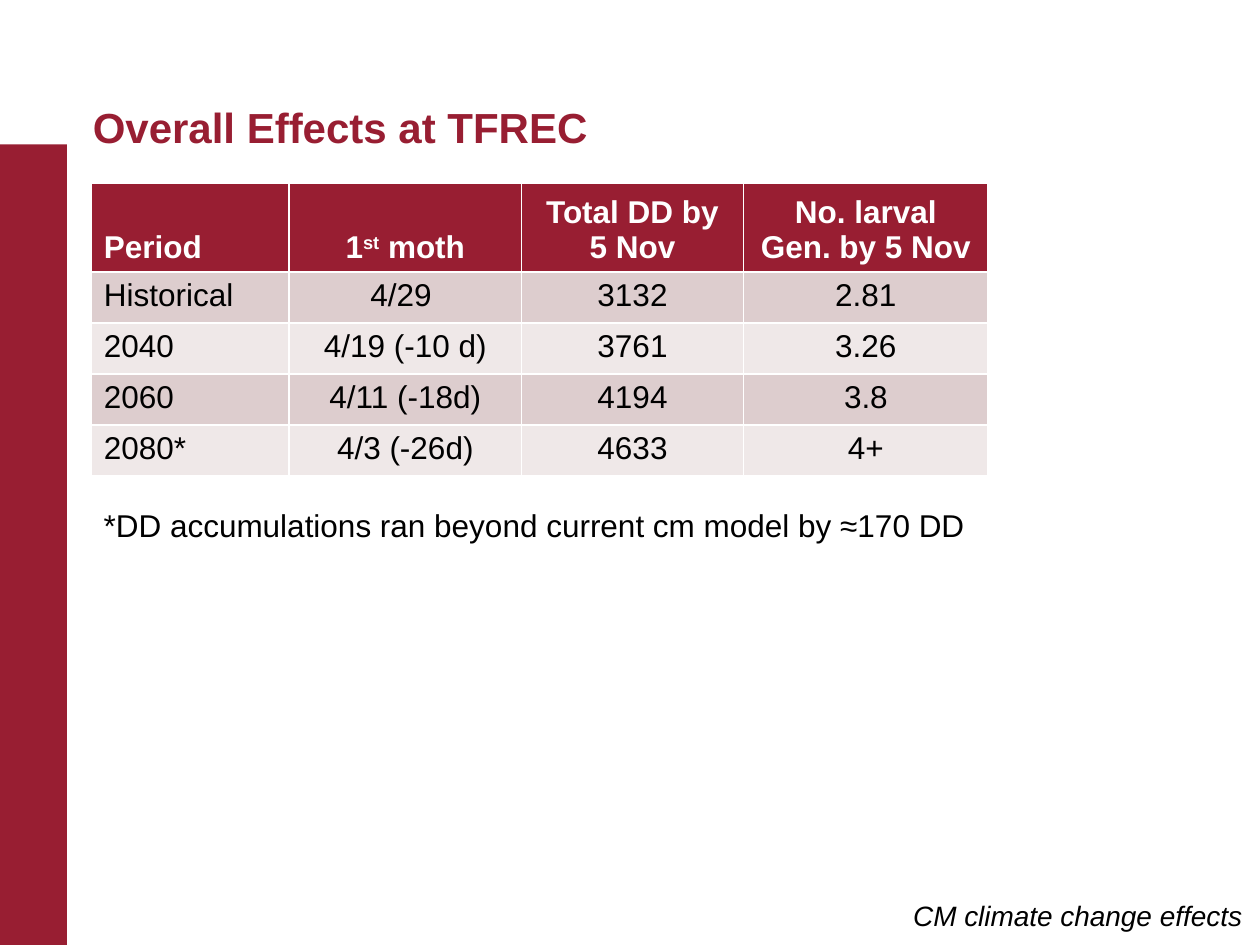
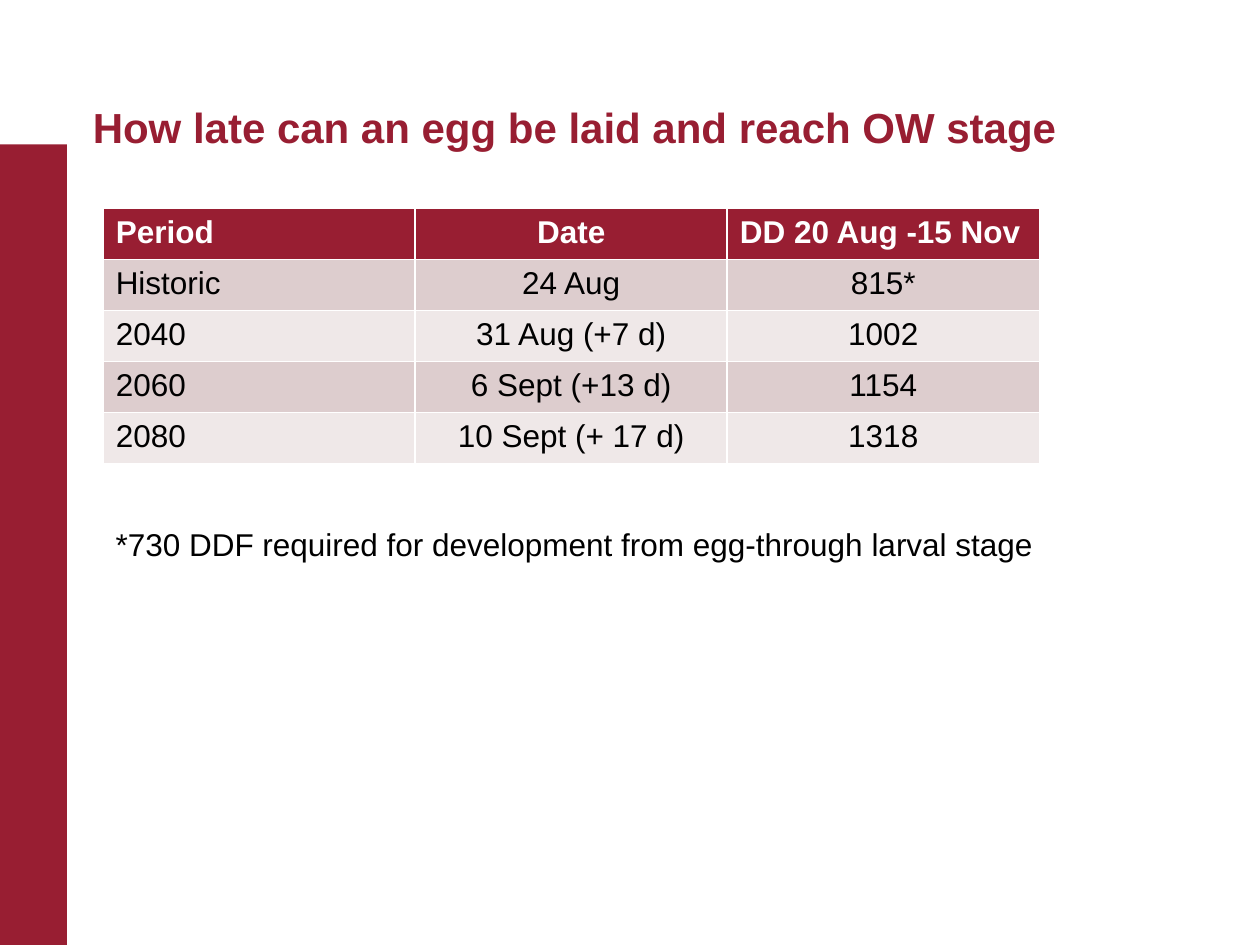
from pptx import Presentation
from pptx.dml.color import RGBColor
from pptx.enum import shapes, text
from pptx.util import Cm, Pt

COLORS = {
    "crimson": "981E32",
    "band_dark": "DDCDCE",
    "band_light": "EFE8E8",
    "white": "FFFFFF",
    "black": "000000",
}
FONT = "Arial"
TITLE_FORMAT = {"size": Pt(24), "bold": True}
HEADER_FORMAT = {"size": Pt(18), "bold": True}
BODY_FORMAT = {"size": Pt(18), "bold": False}
FOOTER_FORMAT = {"size": Pt(16), "italic": True}
ROW_HEIGHT = 1.03
LEFT, CENTER = text.PP_ALIGN.LEFT, text.PP_ALIGN.CENTER
TOP, BOTTOM = text.MSO_ANCHOR.TOP, text.MSO_ANCHOR.BOTTOM


def rgb(color):
    return RGBColor.from_string(COLORS[color])


def write(paragraph, content, color, font_format, align=LEFT):
    """Fill a paragraph; text between ^ marks becomes superscript."""
    paragraph.alignment = align
    for index, part in enumerate(content.split("^")):
        run = paragraph.add_run()
        run.text = part
        run.font.name = FONT
        run.font.color.rgb = rgb(color)
        for name, value in font_format.items():
            setattr(run.font, name, value)
        if index % 2:
            run._r.get_or_add_rPr().set("baseline", "30000")


def add_side_band(slide):
    band = slide.shapes.add_shape(
        shapes.MSO_SHAPE.RECTANGLE, 0, Cm(2.91), Cm(1.35), Cm(16.14))
    band.shadow.inherit = False
    band.fill.solid()
    band.fill.fore_color.rgb = rgb("crimson")
    band.line.fill.background()


def add_titled_slide(presentation, title_text):
    """Add a slide with the side band and the title."""
    slide = presentation.slides.add_slide(presentation.slide_layouts[5])
    add_side_band(slide)
    title = slide.shapes.title
    title.left, title.top, title.width, title.height = map(Cm, (1.36, 2.03, 24.04, 1.17))
    frame_format = {
        "margin_left": Cm(0.51), "margin_right": Cm(1.27),
        "margin_top": Cm(0.13), "margin_bottom": Cm(0.13),
        "vertical_anchor": text.MSO_ANCHOR.MIDDLE,
        "auto_size": text.MSO_AUTO_SIZE.SHAPE_TO_FIT_TEXT,
        "word_wrap": True,
    }
    for name, value in frame_format.items():
        setattr(title.text_frame, name, value)
    paragraph = title.text_frame.paragraphs[0]
    paragraph.line_spacing = 0.9
    write(paragraph, title_text, "crimson", TITLE_FORMAT)
    return slide


def add_text(slide, content, left, top, width, height, font_format, wrap=True):
    box = slide.shapes.add_textbox(*map(Cm, (left, top, width, height)))
    box.text_frame.word_wrap = wrap
    box.text_frame.auto_size = text.MSO_AUTO_SIZE.SHAPE_TO_FIT_TEXT
    write(box.text_frame.paragraphs[0], content, "black", font_format)


def add_period_table(slide, rows, left, top, column_widths, header_height=ROW_HEIGHT,
                     header_anchor=TOP, left_headers=(0,)):
    """Add a banded table; its white rules come from the default table style."""
    heights = [header_height] + [ROW_HEIGHT] * (len(rows) - 1)
    table = slide.shapes.add_table(
        len(rows), len(column_widths), Cm(left), Cm(top),
        Cm(sum(column_widths)), Cm(sum(heights))).table
    for column, width in zip(table.columns, column_widths):
        column.width = Cm(width)
    for row_index, values in enumerate(rows):
        table.rows[row_index].height = Cm(heights[row_index])
        if row_index == 0:
            fill, color, font_format = "crimson", "white", HEADER_FORMAT
            anchor, left_columns = header_anchor, left_headers
        else:
            fill = "band_dark" if row_index % 2 else "band_light"
            color, font_format = "black", BODY_FORMAT
            anchor, left_columns = TOP, (0,)
        for column_index, value in enumerate(values):
            cell = table.cell(row_index, column_index)
            cell.fill.solid()
            cell.fill.fore_color.rgb = rgb(fill)
            cell.vertical_anchor = anchor
            write(cell.text_frame.paragraphs[0], value, color, font_format,
                  LEFT if column_index in left_columns else CENTER)


def add_overall_effects(presentation):
    slide = add_titled_slide(presentation, "Overall Effects at TFREC")
    rows = [
        ("Period", "1^st^ moth", "Total DD by 5 Nov", "No. larval Gen. by 5 Nov"),
        ("Historical", "4/29 ", "3132", "2.81"),
        ("2040", "4/19 (-10 d)", "3761", "3.26"),
        ("2060", "4/11 (-18d)", "4194", "3.8"),
        ("2080*", "4/3 (-26d)", "4633", "4+"),
    ]
    add_period_table(slide, rows, 1.84, 3.7, (3.99, 4.68, 4.48, 4.93),
                     header_height=1.65, header_anchor=BOTTOM)
    add_text(slide, "CM climate change effects", 18.16, 17.98, 7.24, 0.94,
             FOOTER_FORMAT, wrap=False)
    add_text(slide, "*DD accumulations ran beyond current cm model by ≈170 DD",
             1.84, 10.07, 18.06, 1.02, BODY_FORMAT)


def add_latest_egg(presentation):
    slide = add_titled_slide(presentation, "How late can an egg be laid and reach OW stage")
    rows = [
        ("Period", "Date", "DD 20 Aug -15 Nov"),
        ("Historic", "24 Aug", "815*"),
        ("2040", "31 Aug (+7 d)", "1002"),
        ("2060", "6 Sept (+13 d)", "1154"),
        ("2080", "10 Sept (+ 17 d)", "1318"),
    ]
    add_period_table(slide, rows, 2.08, 4.2, (6.29,) * 3, left_headers=(0, 2))
    add_text(slide, "*730 DDF required for development from egg-through larval stage",
             2.08, 10.46, 19.69, 1.02, BODY_FORMAT)


def main():
    presentation = Presentation()
    presentation.slide_width, presentation.slide_height = Cm(25.4), Cm(19.05)
    add_overall_effects(presentation)
    add_latest_egg(presentation)
    presentation.save("out.pptx")


if __name__ == "__main__":
    main()
